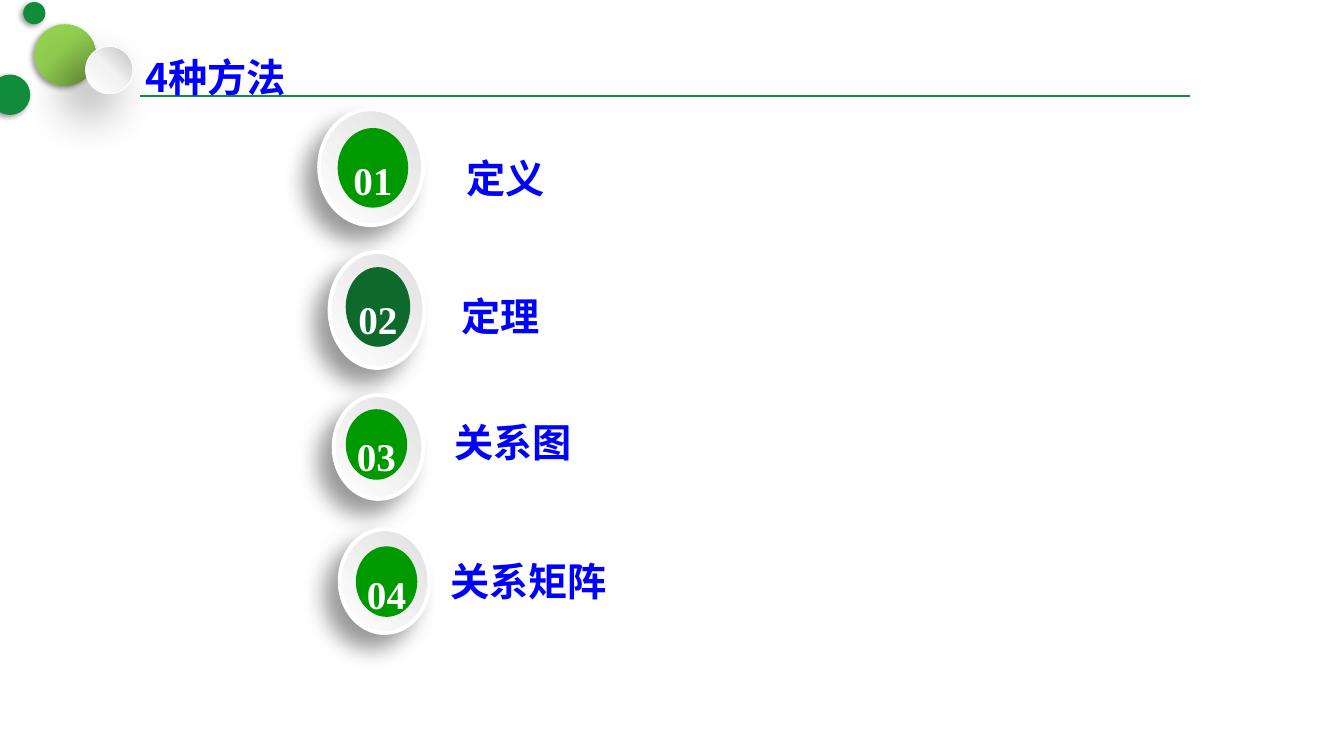
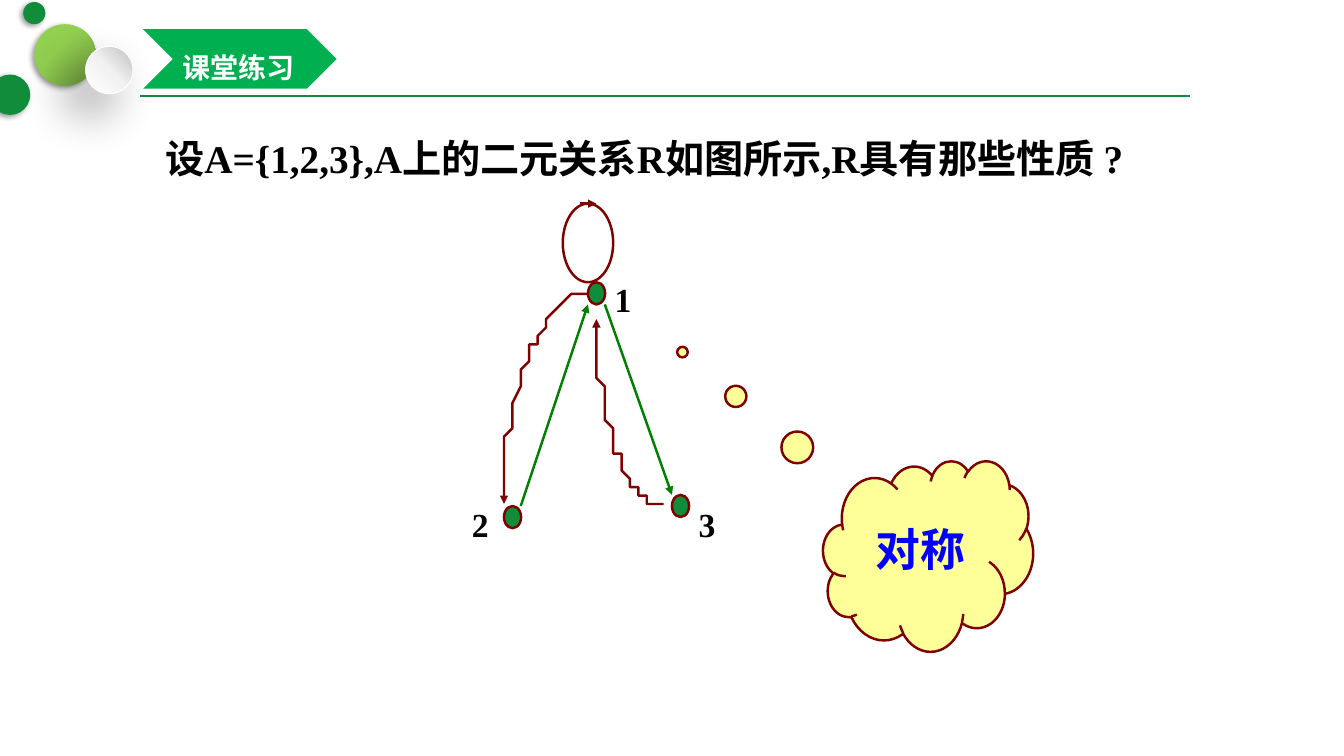
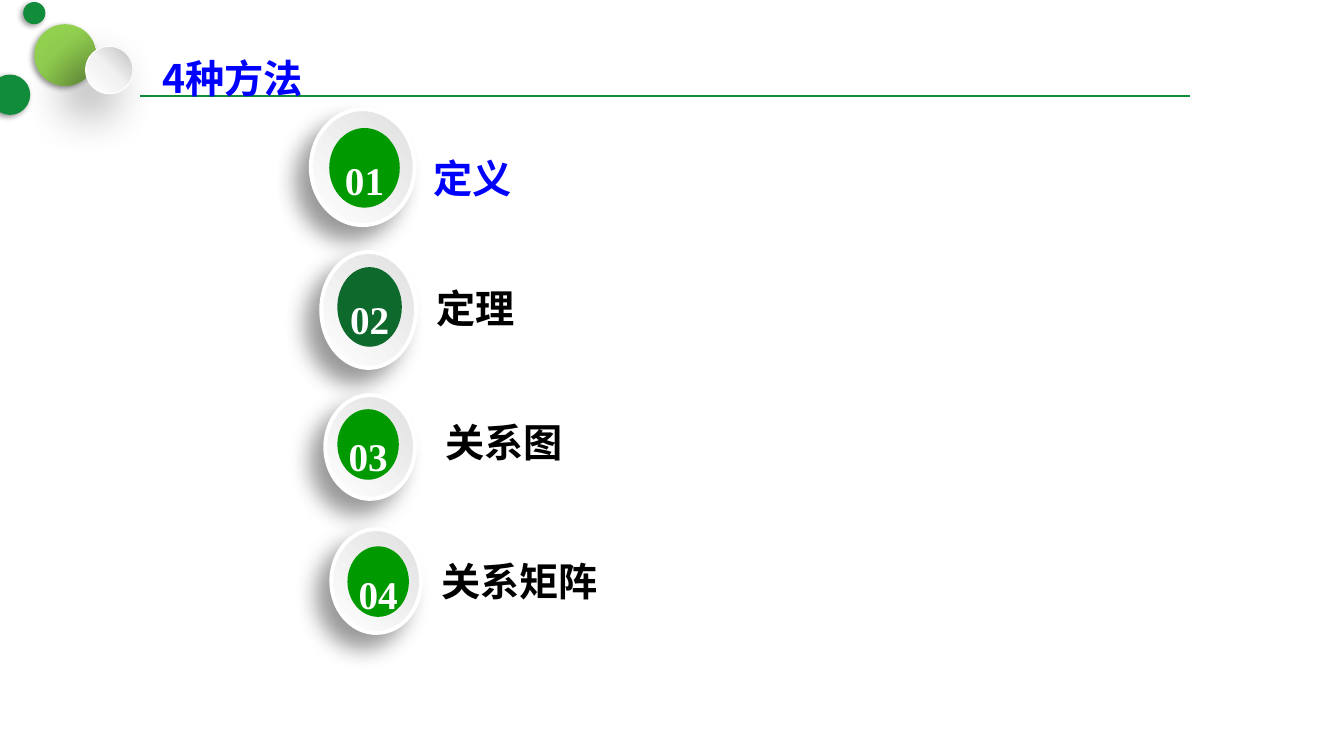
"""Three lesson slides on properties of binary relations, laid out on a grid of 160 by 90 cells."""
import math

from lxml import etree
from pptx import Presentation
from pptx import util as u
from pptx.dml.color import RGBColor
from pptx.enum import shapes, text
from pptx.oxml.ns import qn

COLUMNS, ROWS = 160, 90
CELL = u.Inches(7.5) / ROWS
SERIF, SANS, CJK = "Times New Roman", "Arial", "Noto Sans CJK SC"
COLORS = {
    "green": "118C3B", "lime": "92D050", "olive": "76A443", "bright": "009900",
    "deep": "0D692C", "banner": "00B050", "edge": "008000", "maroon": "800000",
    "cloud": "FFFF99", "blue": "0000FF", "black": "000000", "white": "FFFFFF",
    "pale": "F2F2F2", "silver": "BFBFBF", "mist": "E0E0E0",
}
KINDS = shapes.MSO_SHAPE
ALIGN, ANCHOR = text.PP_ALIGN, text.MSO_ANCHOR

RULE = ((16.68, 11.4), (141.72, 11.4))
SOFT, LONG, RAISED = (4, 2), (35, 20), (16, 14)
SPHERE = ([(0, "white"), (50, "pale"), (100, "silver")], 45)
RING = ([(0, "mist"), (100, "white")], 225)
LIME = ([(0, "lime"), (40, "lime"), (100, "olive")], 315)
BUBBLES = [
    ((4.08, 2.88, 7.32, 7.32), LIME, None, SOFT),
    ((-1.2, 8.88, 4.8, 4.8), "green", None, SOFT),
    ((10.2, 5.52, 5.64, 5.64), SPHERE, ("white", 0.75), LONG),
    ((2.76, 0.24, 2.64, 2.64), "green", None, SOFT),
]

BADGES = [
    ("01", (38, 13, 12.36, 13.8), (40.2, 15.24, 8.4, 9.48), "bright"),
    ("02", (39.24, 30, 11.28, 13.8), (41.16, 31.8, 7.68, 9.48), "deep"),
    ("03", (39.72, 47.04, 10.68, 12.36), (41.16, 48.72, 7.32, 8.4), "bright"),
    ("04", (40.44, 63, 10.68, 12.36), (42.36, 65.04, 7.32, 8.4), "bright"),
]
METHOD_TITLE = "4种方法"
METHODS = [
    ("定义", 1.5, (0.1, 0.05)),
    ("定理", 1.5, (0.13, 0)),
    ("关系图", 1.2, (0.13, 0)),
    ("关系矩阵", 1.5, (0.1, 0.05)),
]
OVERVIEW = {
    "shift": 0, "title": (16.08, 3),
    "spots": [(54.36, 15), (53.4, 32.04), (52.56, 48.72), (52.44, 63)],
    "inks": ["blue"] * 4,
}
FOCUS = {
    "shift": -1, "title": (18.12, 3.12),
    "spots": [(50.4, 15), (50.4, 31), (51.48, 48.72), (51.36, 63)],
    "inks": ["blue"] + ["black"] * 3,
}

EXERCISE = "课堂练习"
QUESTION = "设A={1,2,3},A上的二元关系R如图所示,R具有那些性质 ?"
ANSWER = "对称"
NODES = [
    ("1", (70, 33.6), (72, 30.24)),
    ("2", (60, 60.24), (55, 57)),
    ("3", (80, 58.92), (82, 57)),
]
EDGES = [
    ((62, 60.24), (70, 36.24), "edge"),
    ((72, 36.24), (80, 58.92), "edge"),
    ((69, 24.24), (71, 24.24), "maroon"),
]
LOOP = (67, 24.24, 6, 9.36)
ARCS = [((79, 60.24), (71, 37.56)), ((70, 34.92), (60, 60.24))]
OUTLINE = ("maroon", 1.75)
ARC_STEPS = 30


def cells(values):
    return [u.Emu(round(value * CELL)) for value in values]


def rgb(color):
    return RGBColor.from_string(COLORS[color])


def paint(shape, fill):
    if fill is None:
        shape.fill.background()
    elif isinstance(fill, str):
        shape.fill.solid()
        shape.fill.fore_color.rgb = rgb(fill)
    else:
        stops, angle = fill
        shape.fill.gradient()
        shape.fill.gradient_angle = angle
        ramp = shape._element.spPr.find(".//" + qn("a:gsLst"))
        for old in list(ramp):
            ramp.remove(old)
        for position, color in stops:
            stop = etree.SubElement(ramp, qn("a:gs"), pos=str(position * 1000))
            etree.SubElement(stop, qn("a:srgbClr"), val=COLORS[color])


def stroke(line, outline, arrow=False):
    if outline is None:
        line.fill.background()
        return
    color, width = outline
    line.color.rgb = rgb(color)
    line.width = u.Pt(width)
    if arrow:
        etree.SubElement(line._get_or_add_ln(), qn("a:tailEnd"), type="triangle")


def cast_shadow(shape, blur, distance):
    effects = shape._element.spPr.find(qn("a:effectLst"))
    shadow = etree.SubElement(
        effects, qn("a:outerShdw"), blurRad=str(u.Pt(blur)), dist=str(u.Pt(distance)),
        dir=str(135 * 60000), algn="ctr", rotWithShape="0")
    color = etree.SubElement(shadow, qn("a:srgbClr"), val=COLORS["black"])
    etree.SubElement(color, qn("a:alpha"), val="40000")


def add_figure(slide, kind, place, fill=None, outline=None, shadow=None):
    shape = slide.shapes.add_shape(kind, *cells(place))
    shape.shadow.inherit = False
    paint(shape, fill)
    stroke(shape.line, outline)
    if shadow:
        cast_shadow(shape, *shadow)
    return shape


def add_arrow(slide, start, end, outline, arrow=True):
    link = slide.shapes.add_connector(shapes.MSO_CONNECTOR.STRAIGHT, *cells(start + end))
    stroke(link.line, outline, arrow)
    etree.SubElement(link._element.spPr, qn("a:effectLst"))


def add_arc(slide, start, end):
    (x0, y0), (x1, y1) = start, end
    turns = [step / ARC_STEPS * math.pi / 2 for step in range(1, ARC_STEPS + 1)]
    points = [(x0 + (x1 - x0) * math.sin(t), y1 + (y0 - y1) * math.cos(t)) for t in turns]
    builder = slide.shapes.build_freeform(x0, y0, scale=CELL)
    builder.add_line_segments(points, close=False)
    arc = builder.convert_to_shape()
    arc.shadow.inherit = False
    paint(arc, None)
    stroke(arc.line, OUTLINE, arrow=True)


def write(shape, words, size=28, color="black", font=SERIF, spacing=1.5,
          align=ALIGN.LEFT, anchor=ANCHOR.TOP, inset=(0.1, 0.05)):
    side, edge = (u.Inches(length) for length in inset)
    frame = shape.text_frame
    layout = {"word_wrap": True, "vertical_anchor": anchor, "margin_left": side,
              "margin_right": side, "margin_top": edge, "margin_bottom": edge}
    for key, value in layout.items():
        setattr(frame, key, value)
    paragraph = frame.paragraphs[0]
    paragraph.alignment, paragraph.line_spacing = align, spacing
    run = paragraph.add_run()
    run.text = words
    for key, value in {"size": u.Pt(size), "name": font, "bold": True}.items():
        setattr(run.font, key, value)
    run.font.color.rgb = rgb(color)
    etree.SubElement(run._r.get_or_add_rPr(), qn("a:ea"), typeface=CJK)


def add_words(slide, place, words, **style):
    write(slide.shapes.add_textbox(*cells(place)), words, **style)


def start_slide(deck):
    slide = deck.slides.add_slide(deck.slide_layouts[6])
    add_arrow(slide, *RULE, ("green", 1.25), arrow=False)
    for place, fill, outline, shadow in BUBBLES:
        add_figure(slide, KINDS.OVAL, place, fill, outline, shadow)
    return slide


def add_methods(deck, view):
    slide = start_slide(deck)
    for badge, method, spot, ink in zip(BADGES, METHODS, view["spots"], view["inks"]):
        number, ring, disc, color = badge
        ring, disc = ((x + view["shift"], *rest) for x, *rest in (ring, disc))
        add_figure(slide, KINDS.OVAL, ring, RING, ("white", 2.75), RAISED)
        write(add_figure(slide, KINDS.OVAL, disc, color), number, color="white",
              align=ALIGN.CENTER, anchor=ANCHOR.MIDDLE, inset=(0, 0))
        words, spacing, inset = method
        add_words(slide, (*spot, 34, 8.88), words, color=ink, spacing=spacing, inset=inset)
    add_words(slide, (*view["title"], 26.52, 8.88), METHOD_TITLE, color="blue", font=CJK)


def add_exercise(deck):
    slide = start_slide(deck)
    add_words(slide, (18.48, 12.6, 130, 8.64), QUESTION)
    for number, spot, label in NODES:
        add_figure(slide, KINDS.OVAL, (*spot, 2.04, 2.64), "green", OUTLINE)
        add_words(slide, (*label, 6, 7.56), number, size=24)
    for start, end, color in EDGES:
        add_arrow(slide, start, end, (color, 1.75))
    add_figure(slide, KINDS.OVAL, LOOP, None, OUTLINE)
    for start, end in ARCS:
        add_arc(slide, start, end)
    cloud = add_figure(slide, KINDS.CLOUD_CALLOUT, (98, 54.84, 25, 22.68), "cloud", OUTLINE)
    cloud.adjustments[0], cloud.adjustments[1] = -1.17, -1.07
    write(cloud, ANSWER, size=32, color="blue", font=SANS, align=ALIGN.CENTER)
    banner = add_figure(slide, KINDS.CHEVRON, (17.04, 3.48, 23.04, 7.08), "banner")
    write(banner, EXERCISE, size=20, color="white", font=CJK, anchor=ANCHOR.MIDDLE)


def main():
    deck = Presentation()
    deck.slide_width, deck.slide_height = cells((COLUMNS, ROWS))
    add_methods(deck, OVERVIEW)
    add_exercise(deck)
    add_methods(deck, FOCUS)
    deck.save("out.pptx")


if __name__ == "__main__":
    main()
